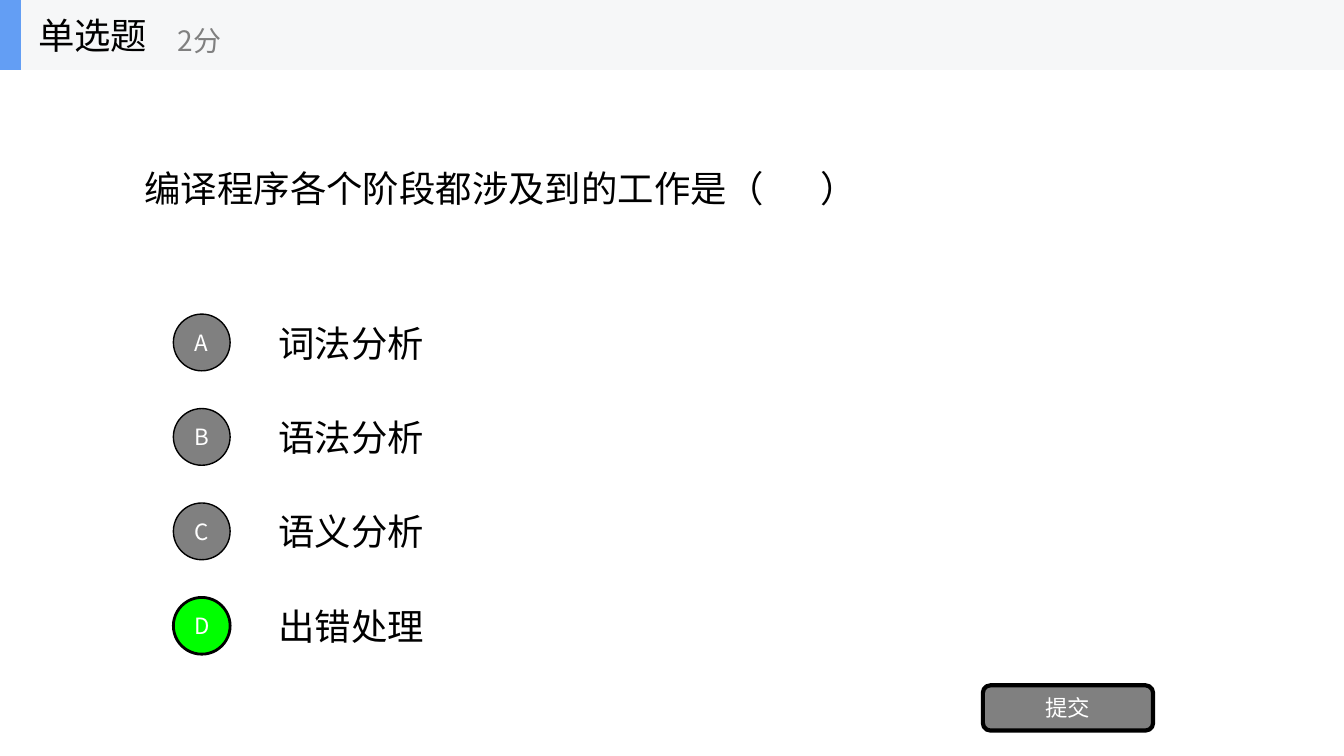
"""Build a single-choice quiz slide about the phases of a compiler."""
from dataclasses import dataclass

from lxml import etree
from pptx import Presentation
from pptx import util as u
from pptx.dml.color import RGBColor
from pptx.enum import shapes, text
from pptx.oxml.ns import qn


@dataclass(frozen=True)
class Theme:
    font: str = "Noto Sans CJK SC"
    ink: str = "000000"
    white: str = "FFFFFF"
    grey: str = "808080"
    band: str = "F6F7F8"
    accent: str = "639EF4"
    correct: str = "00FF00"
    main_size: int = 26
    points_size: int = 20
    control_size: int = 16


theme = Theme()


def write(box, words, size, color, align=text.PP_ALIGN.LEFT, side=0.25):
    frame = box.text_frame
    frame.word_wrap = True
    frame.auto_size = text.MSO_AUTO_SIZE.NONE
    frame.vertical_anchor = text.MSO_ANCHOR.MIDDLE
    frame.margin_left = frame.margin_right = u.Cm(side)
    frame.margin_top = frame.margin_bottom = u.Cm(0.13)
    para = frame.paragraphs[0]
    para.alignment = align
    para.space_before = u.Pt(0)
    span = para.add_run()
    span.text = words
    span.font.size = u.Pt(size)
    span.font.name = theme.font
    span.font.color.rgb = RGBColor.from_string(color)
    east_asian = etree.SubElement(span.font._element, qn("a:ea"))
    east_asian.set("typeface", theme.font)
    return para


def add_block(kind, left, top, width, height, fill, line_width=0):
    block = page.shapes.add_shape(kind, u.Cm(left), u.Cm(top), u.Cm(width), u.Cm(height))
    block.shadow.inherit = False
    block.fill.solid()
    block.fill.fore_color.rgb = RGBColor.from_string(fill)
    if line_width:
        block.line.color.rgb = RGBColor.from_string(theme.ink)
        block.line.width = u.Pt(line_width)
    else:
        block.line.fill.background()
    return block


deck = Presentation()
deck.slide_width, deck.slide_height = u.Cm(33.87), u.Cm(19.05)
page = deck.slides.add_slide(deck.slide_layouts[1])
title, question = page.shapes.title, page.placeholders[1]

header_height = 1.76
add_block(shapes.MSO_SHAPE.RECTANGLE, 0, 0, 33.87, header_height, theme.band)
add_block(shapes.MSO_SHAPE.RECTANGLE, 0, 0, 0.53, header_height, theme.accent)

title.left, title.top, title.width, title.height = u.Cm(0.71), u.Cm(0), u.Cm(5.28), u.Cm(header_height)
write(title, "单选题", theme.main_size, theme.ink)
page.shapes._spTree.append(title._element)

points = page.shapes.add_textbox(u.Cm(4.23), u.Cm(0.3), u.Cm(6.35), u.Cm(1.42))
write(points, "2分", theme.points_size, theme.grey)

question.left, question.top = u.Cm(3.39), u.Cm(header_height)
question.width, question.height = u.Cm(27.09), u.Cm(5.94)
para = write(question, "编译程序各个阶段都涉及到的工作是（       ）", theme.main_size, theme.ink)
properties = para._p.get_or_add_pPr()
properties.set("marL", "0")
properties.set("indent", "0")
etree.SubElement(properties, qn("a:buNone"))

options = [("A", "词法分析"), ("B", "语法分析"), ("C", "语义分析"), ("D", "出错处理")]
answer = "D"
first_top, pitch = 7.74, 2.38
option_height, circle_size = 1.78, 1.43
for row, (letter, words) in enumerate(options):
    top = first_top + row * pitch
    option = page.shapes.add_textbox(u.Cm(6.77), u.Cm(top), u.Cm(23.71), u.Cm(option_height))
    write(option, words, theme.main_size, theme.ink)
    fill, line_width = (theme.correct, 2) if letter == answer else (theme.grey, 1)
    circle_top = top + (option_height - circle_size) / 2
    circle = add_block(shapes.MSO_SHAPE.OVAL, 4.37, circle_top, circle_size, circle_size, fill, line_width)
    write(circle, letter, theme.control_size, theme.white, text.PP_ALIGN.CENTER, 0)

submit = add_block(shapes.MSO_SHAPE.ROUNDED_RECTANGLE, 24.77, 17.27, 4.29, 1.14, theme.grey, 3)
write(submit, "提交", theme.control_size, theme.white, text.PP_ALIGN.CENTER, 0)

deck.save("out.pptx")
